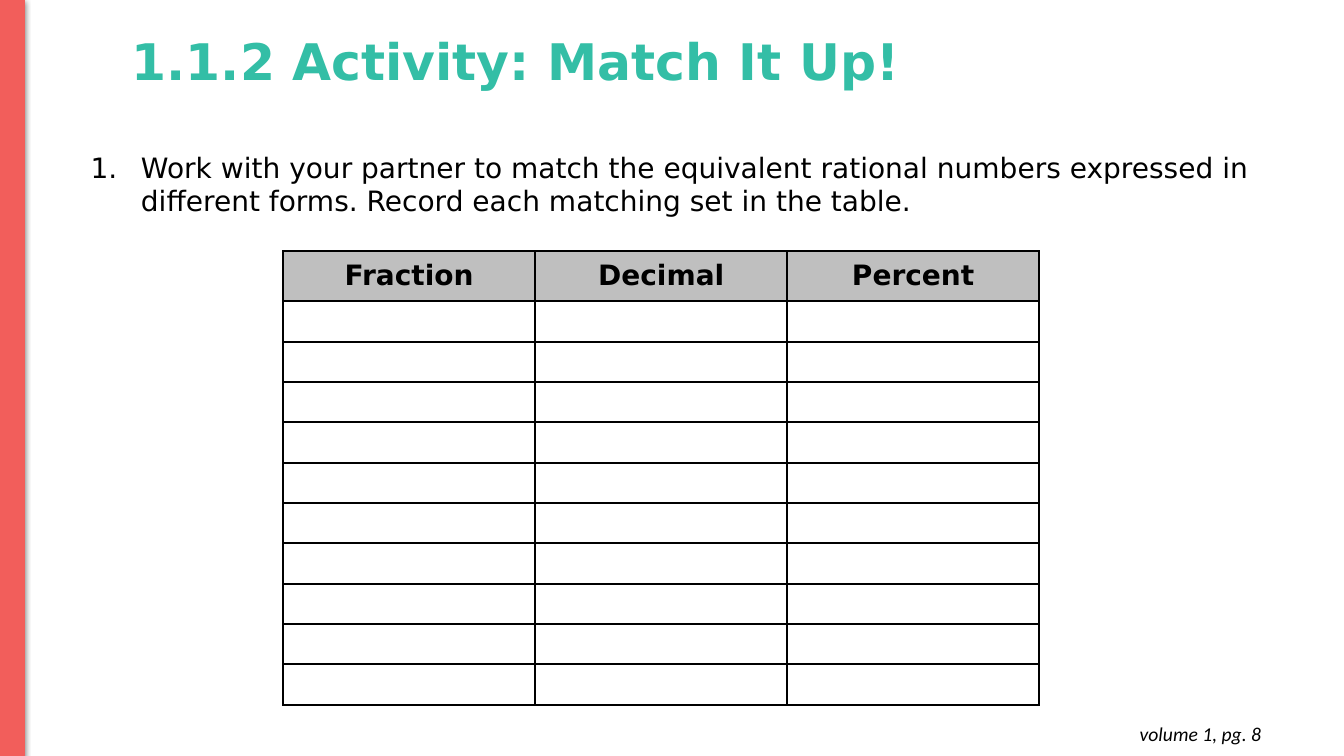
from lxml.etree import SubElement
from pptx import Presentation
from pptx.dml.color import RGBColor
from pptx.enum.shapes import MSO_SHAPE
from pptx.enum.text import MSO_ANCHOR, PP_ALIGN
from pptx.oxml.ns import qn
from pptx.util import Pt

BLACK, CORAL, TEAL, GREY = "000000", "F25E5B", "33BEA6", "BFBFBF"
TITLE = dict(name="DejaVu Sans", size=Pt(36), bold=True)
BODY = dict(name="DejaVu Sans", size=Pt(20))
HEADER = dict(BODY, bold=True)
FOOTER = dict(name="Calibri", size=Pt(14), italic=True)


def color(hex_code):
    return RGBColor.from_string(hex_code)


def add_element(parent, tag, **attributes):
    return SubElement(parent, qn(tag), {key: str(value) for key, value in attributes.items()})


def set_all(target, values):
    for name, value in values.items():
        setattr(target, name, value)


def write(frame, text, font, hex_code=BLACK, **layout):
    """Fill the first paragraph of a frame and return that paragraph."""
    para = frame.paragraphs[0]
    set_all(para, layout)
    span = para.add_run()
    span.text = text
    set_all(span.font, font)
    span.font.color.rgb = color(hex_code)
    return para


def add_text(page, box, text, font, hex_code=BLACK, frame_format=None, **layout):
    frame = page.shapes.add_textbox(*map(Pt, box)).text_frame
    set_all(frame, dict(frame_format or {}, word_wrap=True))
    return write(frame, text, font, hex_code, **layout)


def add_side_bar(page, box):
    bar = page.shapes.add_shape(MSO_SHAPE.RECTANGLE, *map(Pt, box))
    bar.fill.solid()
    bar.fill.fore_color.rgb = bar.line.color.rgb = color(CORAL)
    bar.line.width = Pt(0.75)
    bar.shadow.inherit = False
    effects = bar._element.spPr.find(qn("a:effectLst"))
    shadow = add_element(effects, "a:outerShdw", blurRad=Pt(4.5), dist=Pt(1.5),
                         dir=90 * 60000, rotWithShape=0)
    shade = add_element(shadow, "a:srgbClr", val=BLACK)
    add_element(shade, "a:alpha", val=50000)


def add_instruction(page, box, text):
    para = add_text(page, box, text, BODY)
    properties = para._p.get_or_add_pPr()
    set_all_indents = dict(marL=Pt(36), indent=-Pt(36))
    for name, value in set_all_indents.items():
        properties.set(name, str(value))
    add_element(add_element(properties, "a:buClr"), "a:srgbClr", val=BLACK)
    add_element(properties, "a:buFont", typeface=BODY["name"])
    add_element(properties, "a:buAutoNum", type="arabicPeriod")


def add_borders(cell):
    """Draw all four edges; they must come before the fill in the cell XML."""
    properties = cell._tc.get_or_add_tcPr()
    for edge in ("a:lnL", "a:lnR", "a:lnT", "a:lnB"):
        line = add_element(properties, edge, w=Pt(1.5))
        add_element(add_element(line, "a:solidFill"), "a:srgbClr", val=BLACK)


def add_match_table(page, box, headings, blank_rows, header_height):
    left, top, width, height = box
    table = page.shapes.add_table(blank_rows + 1, len(headings), *map(Pt, box)).table
    set_all(table, dict(first_row=False, horz_banding=False))
    for column in table.columns:
        column.width = Pt(width / len(headings))
    for index, row in enumerate(table.rows):
        row.height = Pt((height - header_height) / blank_rows if index else header_height)
        for cell, heading in zip(row.cells, headings):
            set_all(cell, dict(margin_left=Pt(3.6), margin_right=Pt(3.6), margin_top=0,
                               margin_bottom=0, vertical_anchor=MSO_ANCHOR.MIDDLE))
            add_borders(cell)
            if index:
                cell.fill.background()
            else:
                cell.fill.solid()
                cell.fill.fore_color.rgb = color(GREY)
                write(cell.text_frame, heading, HEADER, alignment=PP_ALIGN.CENTER)


def build_activity(page, width, height):
    add_instruction(page, (57.6, 103.7, 850.3, 55.4),
                    "Work with your partner to match the equivalent rational numbers "
                    "expressed in different forms. Record each matching set in the table.")
    add_side_bar(page, (0, 0, 17.3, height))
    add_match_table(page, (202.3, 179.3, 540, 324), ("Fraction", "Decimal", "Percent"), 10, 36)
    add_text(page, (700.6, 508.3, 207.4, 31.7), "volume 1, pg. 8", FOOTER,
             frame_format=dict(margin_top=Pt(7.2), margin_bottom=Pt(7.2)),
             alignment=PP_ALIGN.RIGHT)
    add_text(page, (87.1, 22.3, width - 87.1, 46.8), "1.1.2 Activity: Match It Up!", TITLE, TEAL,
             frame_format=dict(vertical_anchor=MSO_ANCHOR.MIDDLE), line_spacing=0.9)


def main():
    width, height = 960, 540
    deck = Presentation()
    set_all(deck, dict(slide_width=Pt(width), slide_height=Pt(height)))
    page = deck.slides.add_slide(deck.slide_layouts[6])
    build_activity(page, width, height)
    deck.save("out.pptx")


if __name__ == "__main__":
    main()
